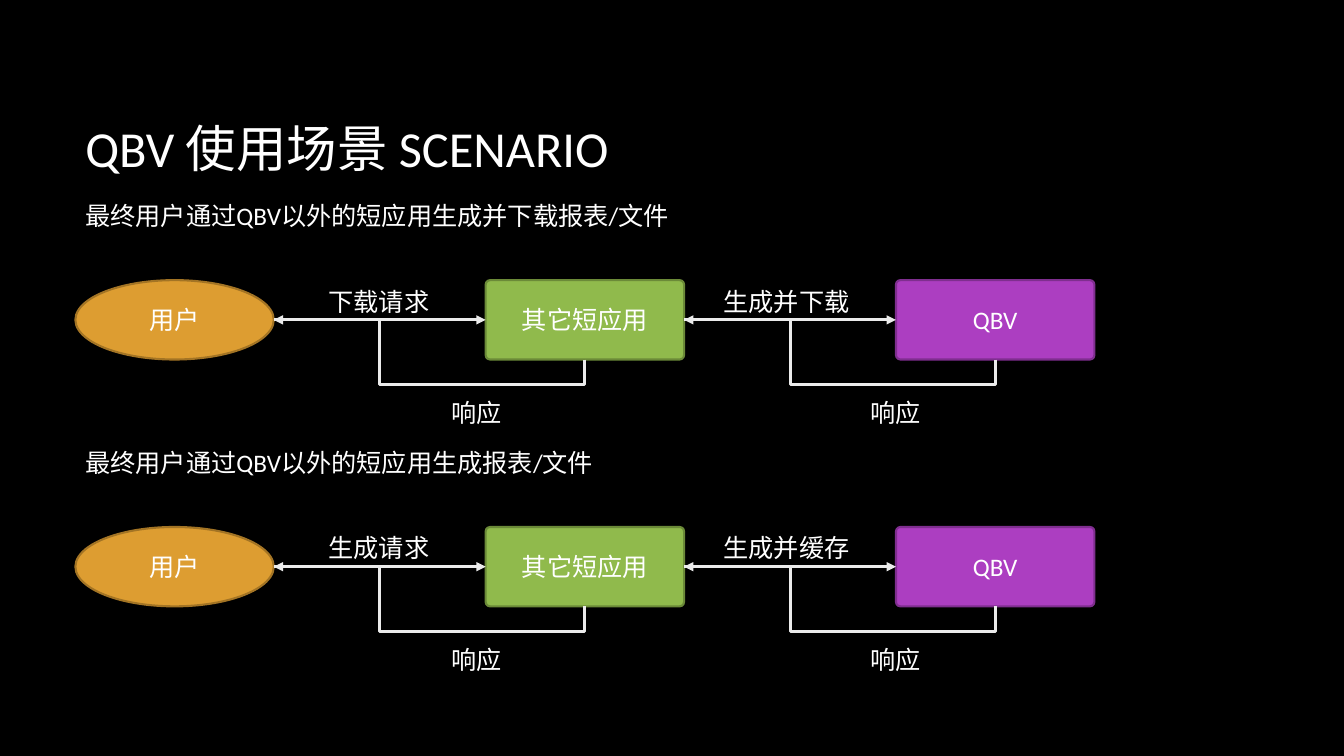
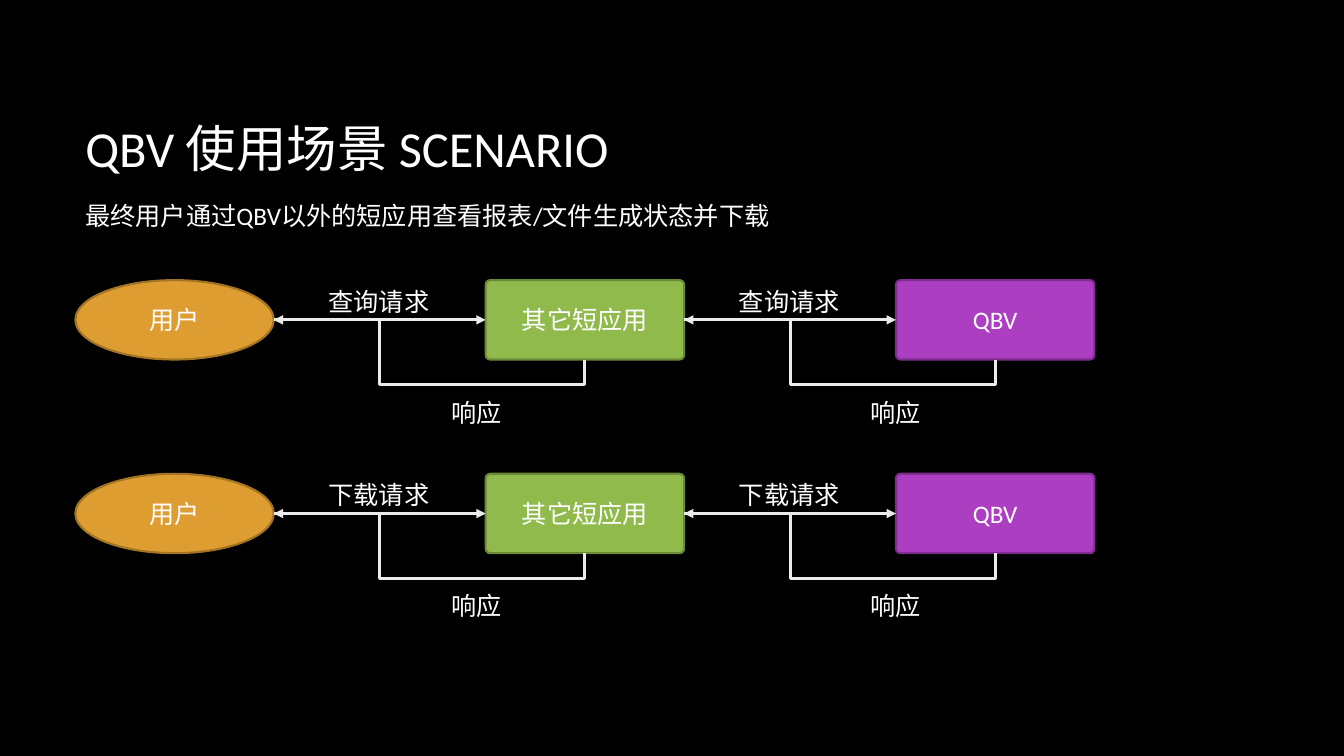
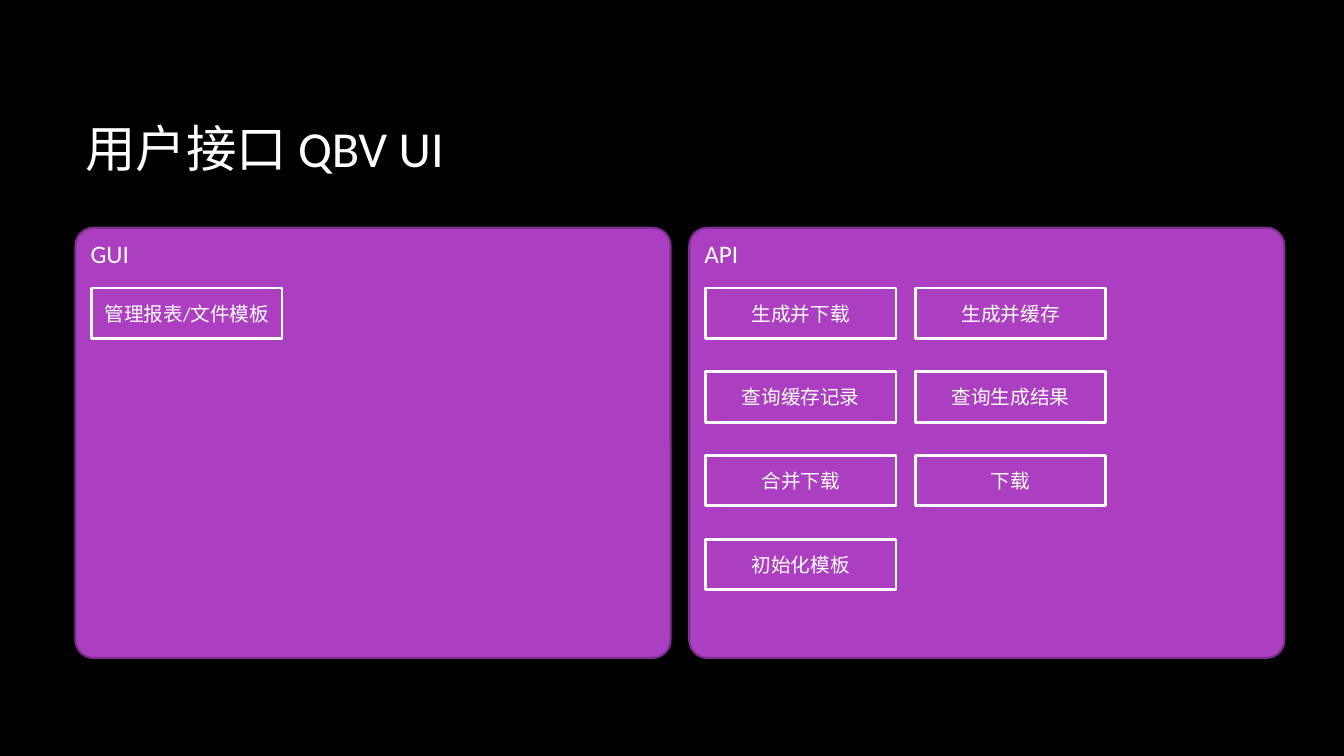
from dataclasses import dataclass
from typing import Any, Optional

from lxml.etree import SubElement
from pptx import Presentation
from pptx.dml.color import RGBColor
from pptx.enum.shapes import MSO_CONNECTOR, MSO_SHAPE
from pptx.enum.text import MSO_ANCHOR, PP_ALIGN
from pptx.oxml.ns import qn
from pptx.shapes.autoshape import Shape
from pptx.shapes.connector import Connector
from pptx.slide import Slide
from pptx.util import Cm, Pt


# Shared look
@dataclass(frozen=True)
class Theme:
    font: str = "Calibri"
    background: str = "000000"
    text: str = "FFFFFF"
    arrow: str = "EBEBEB"
    orange: tuple[str, str] = ("DD9D31", "A37424")
    green: tuple[str, str] = ("90BA4C", "6B8A38")
    purple: tuple[str, str] = ("AC3EC1", "7F2E8F")
    tile: tuple[str, str] = ("AC3EC1", "FFFFFF")
    title_size: float = 36
    body_size: float = 18
    tile_size: float = 14
    outline: float = 1.5
    tile_outline: float = 2
    arrow_width: float = 2.25


@dataclass(frozen=True)
class Box:
    left: float
    top: float
    width: float
    height: float


@dataclass(frozen=True)
class Role:
    name: str
    kind: MSO_SHAPE
    colours: tuple[str, str]
    corner: Optional[float] = None


@dataclass(frozen=True)
class Flow:
    top: float
    user_request: str
    app_request: str
    caption: str = ""
    caption_width: float = 0


@dataclass(frozen=True)
class Panel:
    name: str
    functions: tuple[str, ...]


THEME = Theme()

# Measures in centimetres
MARGIN = 1.9
TITLE_BOX = Box(MARGIN, 1.7, 28.14, 4.04)
LABEL_HEIGHT = 1.02
NODE_WIDTH, NODE_HEIGHT, NODE_PITCH = 5, 2, 10.34
CAPTION_RISE = 2.13
CHARACTER_WIDTH = 0.77
REPLY_LEFTS, REPLY_DROP, REPLY_WIDTH = (11.13, 21.69), 2.82, 1.8
REPLY_BENDS = {"adj1": -63500, "adj2": 65900}
PANEL_TOP, PANEL_WIDTH, PANEL_HEIGHT, PANEL_PITCH = 5.74, 15, 10.84, 15.47
TILE_WIDTH, TILE_HEIGHT = 4.8, 1.27
TILE_INDENT, TILE_DROP = 0.41, 1.52
TILE_COLUMN_PITCH, TILE_ROW_PITCH, TILE_COLUMNS = 5.29, 2.11, 2

# Content
TOOL = "QBV"
SCENARIO_TITLE = f"{TOOL} 使用场景 SCENARIO"
INTERFACE_TITLE = f"用户接口 {TOOL} UI"
REPLY = "响应"
ROLES = (
    Role("用户", MSO_SHAPE.OVAL, THEME.orange),
    Role("其它短应用", MSO_SHAPE.ROUNDED_RECTANGLE, THEME.green, 0.056),
    Role(TOOL, MSO_SHAPE.ROUNDED_RECTANGLE, THEME.purple, 0.056),
)
SCENARIOS = (
    (
        Flow(7.06, "下载请求", "生成并下载",
             f"最终用户通过{TOOL}以外的短应用生成并下载报表/文件", 15.29),
        Flow(13.28, "生成请求", "生成并缓存",
             f"最终用户通过{TOOL}以外的短应用生成报表/文件", 13.36),
    ),
    (
        Flow(7.06, "查询请求", "查询请求",
             f"最终用户通过{TOOL}以外的短应用查看报表/文件生成状态并下载", 17.83),
        Flow(11.94, "下载请求", "下载请求"),
    ),
)
PANELS = (
    Panel("GUI", ("管理报表/文件模板",)),
    Panel("API", ("生成并下载", "生成并缓存", "查询缓存记录", "查询生成结果",
                  "合并下载", "下载", "初始化模板")),
)


# Drawing helpers
def set_values(target: Any, values: dict[str, Any]) -> None:
    for name, value in values.items():
        setattr(target, name, value)


def lengths(box: Box) -> tuple[Cm, Cm, Cm, Cm]:
    return Cm(box.left), Cm(box.top), Cm(box.width), Cm(box.height)


def write(holder: Shape, words: str, size: float, wrap: bool = True,
          anchor: MSO_ANCHOR = MSO_ANCHOR.TOP,
          align: PP_ALIGN = PP_ALIGN.LEFT) -> None:
    frame = holder.text_frame
    set_values(frame, {"word_wrap": wrap, "vertical_anchor": anchor})
    paragraph = frame.paragraphs[0]
    paragraph.alignment = align
    run = paragraph.add_run()
    run.text = words
    set_values(run.font, {"name": THEME.font, "size": Pt(size)})
    run.font.color.rgb = RGBColor.from_string(THEME.text)


def add_label(slide: Slide, box: Box, words: str, size: float = THEME.body_size,
              wrap: bool = False, anchor: MSO_ANCHOR = MSO_ANCHOR.TOP) -> None:
    write(slide.shapes.add_textbox(*lengths(box)), words, size, wrap, anchor)


def add_block(slide: Slide, box: Box, kind: MSO_SHAPE, colours: tuple[str, str],
              outline: float, corner: Optional[float] = None) -> Shape:
    block = slide.shapes.add_shape(kind, *lengths(box))
    block.shadow.inherit = False
    fill, edge = colours
    block.fill.solid()
    block.fill.fore_color.rgb = RGBColor.from_string(fill)
    block.line.color.rgb = RGBColor.from_string(edge)
    block.line.width = Pt(outline)
    if corner is not None:
        block.adjustments[0] = corner
    return block


def add_arrow(slide: Slide, kind: MSO_CONNECTOR, start: Shape, start_side: int,
              end: Shape, end_side: int) -> Connector:
    arrow = slide.shapes.add_connector(kind, 0, 0, 0, 0)
    arrow.begin_connect(start, start_side)
    arrow.end_connect(end, end_side)
    # An ellipse has eight sites, so its side middles are every second one
    for tag, node, side in (("a:stCxn", start, start_side), ("a:endCxn", end, end_side)):
        if node.auto_shape_type == MSO_SHAPE.OVAL:
            next(arrow._element.iter(qn(tag))).set("idx", str(side * 2))
    arrow.line.color.rgb = RGBColor.from_string(THEME.arrow)
    arrow.line.width = Pt(THEME.arrow_width)
    properties = arrow._element.spPr
    SubElement(properties.find(qn("a:ln")), qn("a:tailEnd"), type="triangle")
    SubElement(properties, qn("a:effectLst"))
    return arrow


def add_reply_arrow(slide: Slide, sender: Shape, receiver: Shape) -> None:
    """Leave the sender's bottom, pass below and enter the receiver's right side."""
    arrow = add_arrow(slide, MSO_CONNECTOR.ELBOW, sender, 2, receiver, 3)
    span, rise = arrow.width, arrow.height
    shift = (span - rise) // 2
    set_values(arrow, {"left": arrow.left + shift, "top": arrow.top - shift,
                       "width": rise, "height": span})
    properties = arrow._element.spPr
    transform = properties.find(qn("a:xfrm"))
    transform.attrib.pop("flipV", None)
    transform.set("flipH", "1")
    transform.set("rot", "5400000")
    geometry = properties.find(qn("a:prstGeom"))
    geometry.set("prst", "bentConnector4")
    bends = geometry.find(qn("a:avLst"))
    if bends is None:
        bends = SubElement(geometry, qn("a:avLst"))
    for name, value in REPLY_BENDS.items():
        SubElement(bends, qn("a:gd"), name=name, fmla=f"val {value}")


# Slide parts
def add_titled_slide(deck: Any, title: str) -> Slide:
    slide = deck.slides.add_slide(deck.slide_layouts[6])
    add_label(slide, TITLE_BOX, title, THEME.title_size, True, MSO_ANCHOR.MIDDLE)
    return slide


def add_flow(slide: Slide, flow: Flow) -> None:
    if flow.caption:
        add_label(slide, Box(MARGIN, flow.top - CAPTION_RISE, flow.caption_width,
                             LABEL_HEIGHT), flow.caption, wrap=True)
    nodes = []
    for index, role in enumerate(ROLES):
        box = Box(MARGIN + index * NODE_PITCH, flow.top, NODE_WIDTH, NODE_HEIGHT)
        node = add_block(slide, box, role.kind, role.colours, THEME.outline, role.corner)
        write(node, role.name, THEME.body_size, True, MSO_ANCHOR.MIDDLE, PP_ALIGN.CENTER)
        nodes.append(node)

    requests = (flow.user_request, flow.app_request)
    for index, (request, reply_left) in enumerate(zip(requests, REPLY_LEFTS)):
        caller, callee = nodes[index:index + 2]
        add_arrow(slide, MSO_CONNECTOR.STRAIGHT, caller, 3, callee, 1)
        add_reply_arrow(slide, callee, caller)
        gap_middle = MARGIN + index * NODE_PITCH + (NODE_WIDTH + NODE_PITCH) / 2
        width = CHARACTER_WIDTH * len(request)
        add_label(slide, Box(gap_middle - width / 2, flow.top + 0.02, width,
                             LABEL_HEIGHT), request)
        add_label(slide, Box(reply_left, flow.top + REPLY_DROP, REPLY_WIDTH,
                             LABEL_HEIGHT), REPLY)


def add_panel(slide: Slide, panel: Panel, left: float) -> None:
    box = Box(left, PANEL_TOP, PANEL_WIDTH, PANEL_HEIGHT)
    card = add_block(slide, box, MSO_SHAPE.ROUNDED_RECTANGLE, THEME.purple,
                     THEME.outline, 0.042)
    write(card, panel.name, THEME.body_size)
    for index, function in enumerate(panel.functions):
        row, column = divmod(index, TILE_COLUMNS)
        tile_box = Box(left + TILE_INDENT + column * TILE_COLUMN_PITCH,
                       PANEL_TOP + TILE_DROP + row * TILE_ROW_PITCH,
                       TILE_WIDTH, TILE_HEIGHT)
        tile = add_block(slide, tile_box, MSO_SHAPE.RECTANGLE, THEME.tile,
                         THEME.tile_outline)
        write(tile, function, THEME.tile_size, True, MSO_ANCHOR.MIDDLE, PP_ALIGN.CENTER)


def main() -> None:
    deck = Presentation()
    set_values(deck, {"slide_width": Cm(33.87), "slide_height": Cm(19.05)})
    backdrop = deck.slide_master.background.fill
    backdrop.solid()
    backdrop.fore_color.rgb = RGBColor.from_string(THEME.background)

    # Usage scenarios
    for flows in SCENARIOS:
        slide = add_titled_slide(deck, SCENARIO_TITLE)
        for flow in flows:
            add_flow(slide, flow)

    # User interfaces
    slide = add_titled_slide(deck, INTERFACE_TITLE)
    for index, panel in enumerate(PANELS):
        add_panel(slide, panel, MARGIN + index * PANEL_PITCH)

    deck.save("out.pptx")


if __name__ == "__main__":
    main()
